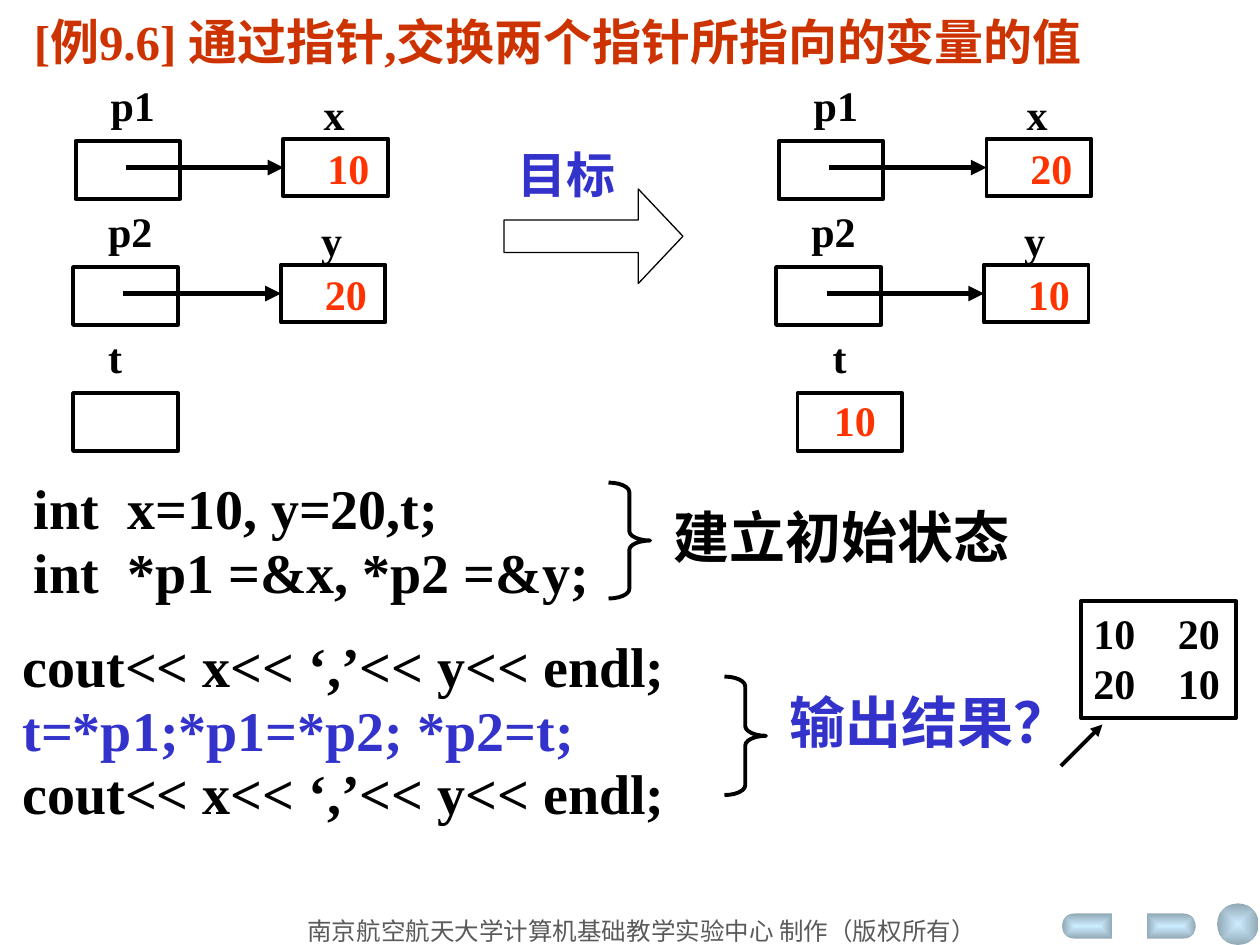
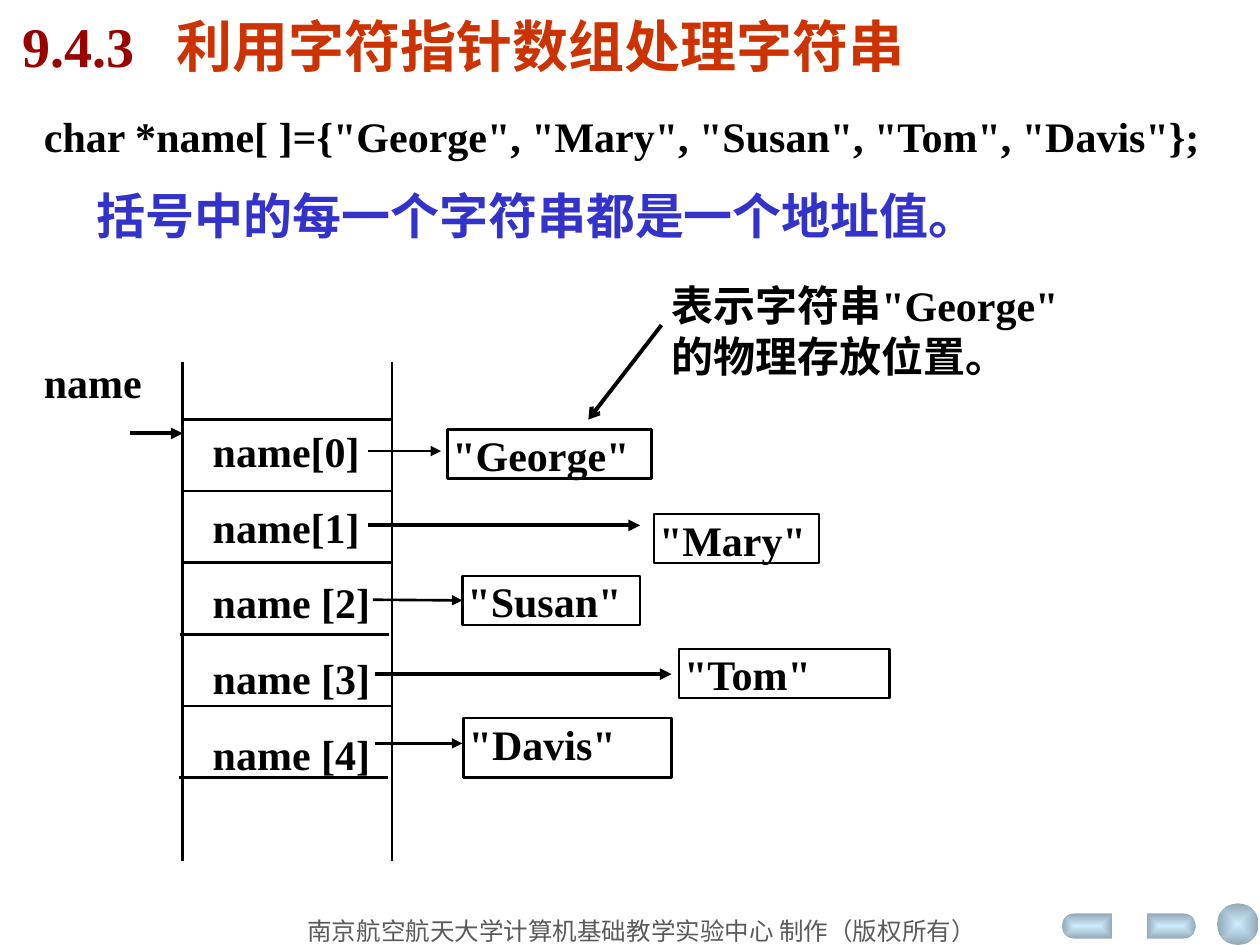
from math import cos, pi, sin
from lxml.etree import SubElement
from pptx import Presentation
from pptx.dml.color import RGBColor
from pptx.enum.shapes import MSO_CONNECTOR, MSO_SHAPE as SHAPE
from pptx.enum.text import MSO_ANCHOR, MSO_AUTO_SIZE, PP_ALIGN as ALIGN
from pptx.oxml.ns import qn
from pptx.util import Inches, Pt

FONT = "Times New Roman"
BLACK, BLUE, RED, TITLE_RED, DARK_RED, GRAY = "000000", "3333CC", "FF3300", "CC3300", "990000", "5A5A5A"
rgb = RGBColor.from_string


def put(slide, at, lines=(), size=24, color=BLACK, kind=None, border=2.25, wrap=True,
        spacing=None, align=None, bold=True, tab=None):
    place = [Inches(v) for v in at]
    if kind is None:
        item = slide.shapes.add_textbox(*place)
    else:
        item = slide.shapes.add_shape(kind, *place)
        item.shadow.inherit = False
        item.fill.background()
        item.line.color.rgb = rgb(BLACK)
        item.line.width = Pt(border)
    if not lines:
        return item
    frame = item.text_frame
    frame.text = "\n".join(lines)
    frame.word_wrap = wrap
    frame.vertical_anchor = MSO_ANCHOR.TOP
    if not wrap:
        frame.auto_size = MSO_AUTO_SIZE.SHAPE_TO_FIT_TEXT
    for paragraph in frame.paragraphs:
        paragraph.alignment = align or ALIGN.LEFT
        if spacing:
            paragraph.line_spacing = spacing
        if tab:
            stops = SubElement(paragraph._p.get_or_add_pPr(), qn("a:tabLst"))
            SubElement(stops, qn("a:tab"), pos=str(Inches(tab)), algn="l")
        for run in paragraph.runs:
            run.font.name, run.font.size, run.font.bold = FONT, Pt(size), bold
            run.font.color.rgb = rgb(color)
    return item


def draw_line(slide, start, end, width=1.5, head=None, target=None):
    line = slide.shapes.add_connector(MSO_CONNECTOR.STRAIGHT, *[Inches(v) for v in (*start, *end)])
    line.line.color.rgb = rgb(BLACK)
    line.line.width = Pt(width)
    if head:
        SubElement(line.line._get_or_add_ln(), qn("a:tailEnd"), type=head)
    SubElement(line._element.spPr, qn("a:effectLst"))
    if target is not None:
        line.end_connect(target, 1)


deck = Presentation()
deck.slide_width, deck.slide_height = Inches(10), Inches(7.5)
swap, strings = [deck.slides.add_slide(deck.slide_layouts[6]) for _ in range(2)]

for slide in (swap, strings):
    buttons = [(put(slide, (9.66, 7.17, 0.33, 0.33), kind=SHAPE.OVAL), "shape")]
    for flat, bend, side in ((8.83, 8.53, -1), (9.1, 9.39, 1)):
        arc = [(bend + side * 0.1 * cos(a), 7.35 + 0.1 * sin(a))
               for a in (pi * (step / 12 - 0.5) for step in range(13))]
        outline = slide.shapes.build_freeform(Inches(flat), Inches(7.25))
        outline.add_line_segments([(Inches(x), Inches(y)) for x, y in arc + [(flat, 7.45)]])
        buttons.append((outline.convert_to_shape(), "rect"))
    for button, glow in buttons:
        button.shadow.inherit = False
        button.line.fill.background()
        button.fill.gradient()
        for stop, tone in zip(button.fill.gradient_stops, ("CCECFF", "92A9B6")):
            stop.color.rgb = rgb(tone)
        gradient = button._element.spPr.find(qn("a:gradFill"))
        gradient.remove(gradient.find(qn("a:lin")))
        center = SubElement(gradient, qn("a:path"), {"path": glow})
        SubElement(center, qn("a:fillToRect"), l="50000", t="50000", r="50000", b="50000")
    put(slide, (1.46, 7.22, 7.27, 0.33), ["南京航空航天大学计算机基础教学实验中心 制作（版权所有）"],
        14, GRAY, align=ALIGN.CENTER, bold=False)

put(swap, (0.17, 0.08, 9.58, 0.55), ["[例9.6] 通过指针,交换两个指针所指向的变量的值"], 28, TITLE_RED, spacing=0.95)

for shift, values, temp_left, temp in ((0, ("10", "20"), 0.58, None), (5.58, ("20", "10"), 6.33, "10")):
    for row, (pointer, variable, value) in enumerate(zip(("p1", "p2"), "xy", values)):
        left, top = 0.6 + shift - 0.02 * row, 0.58 + row
        put(swap, (left, top + 0.54, 0.83, 0.46), kind=SHAPE.RECTANGLE)
        put(swap, (left + 0.18, top, 0.55, 0.5), [pointer], wrap=False)
        put(swap, (left + 1.87, top + 0.07, 0.37, 0.5), [variable], wrap=False)
        put(swap, (left + 1.9, top + 0.5, 0.53, 0.5), [value], color=RED, wrap=False)
        cell = put(swap, (left + 1.65, top + 0.52, 0.83, 0.46), kind=SHAPE.RECTANGLE)
        draw_line(swap, (left + 0.4, top + 0.75), (left + 1.65, top + 0.75), 3, "triangle", cell)
    put(swap, (temp_left, 3.12, 0.83, 0.46), kind=SHAPE.RECTANGLE)
    put(swap, (temp_left + 0.18, 2.58, 0.31, 0.5), ["t"], wrap=False)
    if temp:
        put(swap, (temp_left + 0.19, 3.08, 0.53, 0.5), [temp], color=RED, wrap=False)

goal = put(swap, (4, 1.5, 1.42, 0.75), kind=SHAPE.RIGHT_ARROW, border=0.75)
goal.adjustments[0], goal.adjustments[1] = 0.343, 0.472
put(swap, (4.01, 1.1, 0.98, 0.57), ["目标"], 28, BLUE, wrap=False)

put(swap, (0.17, 3.75, 5.92, 1.11), ["int  x=10, y=20,t;", "int  *p1 =&x, *p2 =&y;"], 32, spacing=0.95)
code = put(swap, (0.08, 5, 5.67, 1.62),
           ["cout<< x<< ‘,’<< y<< endl;", "t=*p1;*p1=*p2; *p2=t;", "cout<< x<< ‘,’<< y<< endl;"], 32, spacing=0.95)
code.text_frame.paragraphs[1].runs[0].font.color.rgb = rgb(BLUE)

for brace_at, bend, note_at, note, color in (
        ((4.83, 3.83, 0.33, 0.92), 0.229, (5.25, 3.98, 3, 0.61), "建立初始状态", BLACK),
        ((5.75, 5.37, 0.33, 0.94), 0.235, (6.17, 5.45, 2.33, 0.61), "输出结果？", BLUE)):
    brace = put(swap, brace_at, kind=SHAPE.RIGHT_BRACE)
    brace.adjustments[0] = bend
    put(swap, note_at, [note], 32, color, spacing=0.95)

put(swap, (8.58, 4.77, 1.23, 0.93), ["10\t20", "20\t10"], kind=SHAPE.RECTANGLE, tab=0.67)
draw_line(swap, (8.42, 6.08), (8.75, 5.75), 2.25, "triangle")

heading = put(strings, (0.08, 0.08, 8.33, 0.61), ["9.4.3\t"], 32, DARK_RED, spacing=0.95, tab=1.22)
topic = heading.text_frame.paragraphs[0].add_run()
topic.text = "利用字符指针数组处理字符串"
topic.font.name, topic.font.size, topic.font.bold = FONT, Pt(32), True
topic.font.color.rgb = rgb(TITLE_RED)

put(strings, (0.25, 0.83, 9.42, 0.5), ['char *name[ ]={"George", "Mary", "Susan", "Tom", "Davis"};'])
put(strings, (0.67, 1.42, 7.23, 0.57), ["括号中的每一个字符串都是一个地址值。"], 28, BLUE, wrap=False)

for x in (1.45, 3.11):
    draw_line(strings, (x, 2.87), (x, 6.83))
for row, left in enumerate((1.45, 1.45, 1.45, 1.43, 1.45, 1.42)):
    y = 3.33 + 2.84 / 5 * row
    draw_line(strings, (left, y), (left + 1.66, y))

put(strings, (0.25, 2.78, 1.39, 0.85), ["name"], align=ALIGN.JUSTIFY)
draw_line(strings, (1.03, 3.44), (1.45, 3.44), 2.25, "triangle")
put(strings, (1.59, 3.13, 1.47, 3.14), ["name[0]", "name[1]", "name [2]", "name [3]", "name [4]"],
    spacing=1.5, align=ALIGN.JUSTIFY)

for word, (left, top, width, height), start, tip, y, weight in (
        ("George", (3.55, 3.41, 1.62, 0.39), 2.92, 3.5, 3.58, 1.5),
        ("Mary", (5.19, 4.08, 1.31, 0.39), 2.92, 5.08, 4.17, 2.25),
        ("Susan", (3.67, 4.57, 1.41, 0.39), 2.96, 3.67, 4.76, 1.5),
        ("Tom", (5.39, 5.15, 1.67, 0.39), 2.98, 5.33, 5.35, 2.25),
        ("Davis", (3.68, 5.7, 1.65, 0.47), 2.98, 3.67, 5.9, 1.5)):
    stored = put(strings, (left, top, width, height), [f'"{word}"'], kind=SHAPE.RECTANGLE,
                 border=1.5, align=ALIGN.JUSTIFY)
    frame = stored.text_frame
    frame.margin_left = Inches(0.04)
    frame.margin_top = frame.margin_right = frame.margin_bottom = 0
    draw_line(strings, (start, y), (tip, y), weight, "triangle", stored if tip == left else None)

draw_line(strings, (5.25, 2.58), (4.67, 3.33), 2.25, "arrow")
put(strings, (5.23, 2.17, 3.77, 0.92), ['表示字符串"George"', "的物理存放位置。"], align=ALIGN.JUSTIFY)

deck.save("out.pptx")
